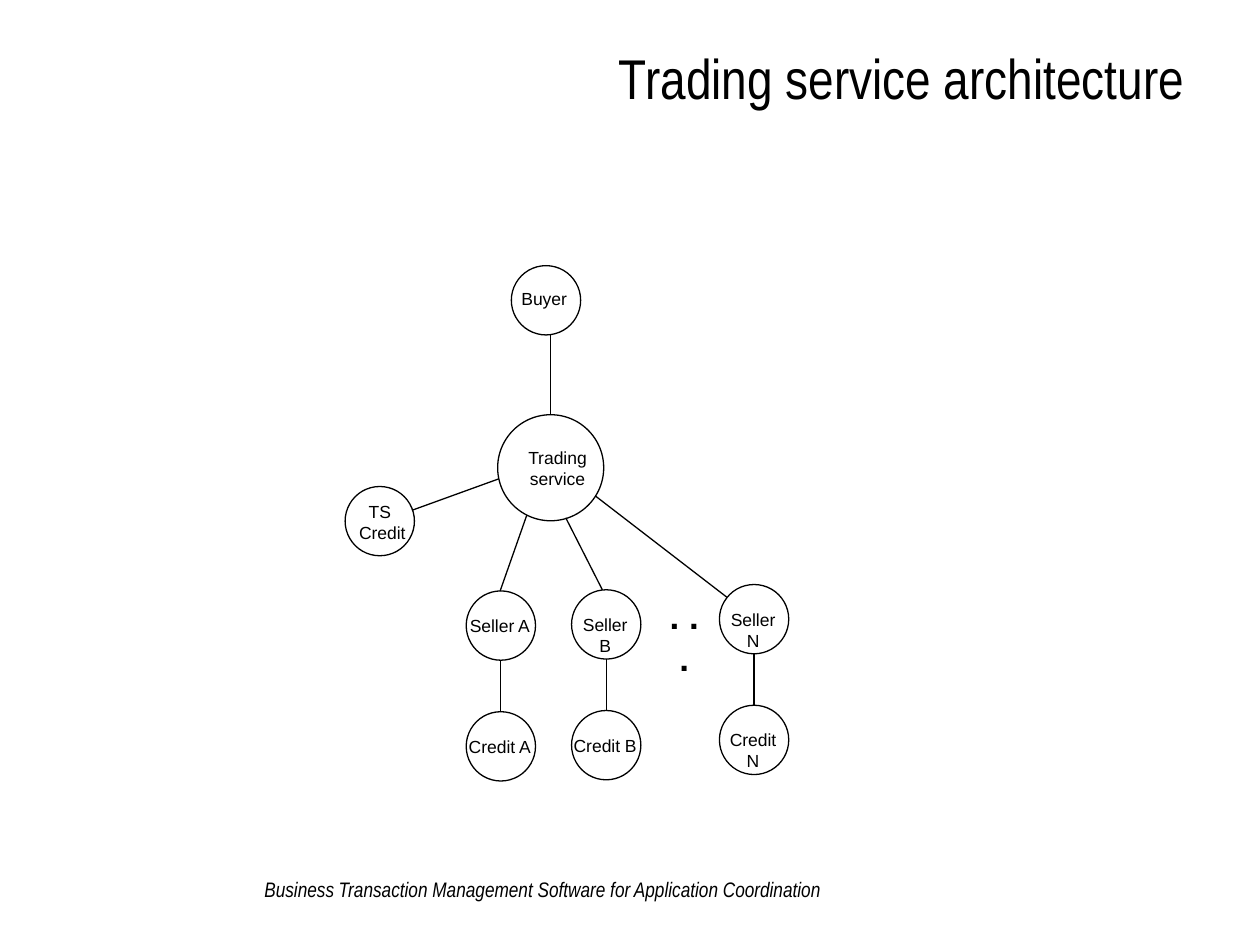
from pptx import Presentation
from pptx.dml.color import RGBColor
from pptx.enum.shapes import MSO_CONNECTOR, MSO_SHAPE
from pptx.enum.text import PP_ALIGN
from pptx.util import Pt
from lxml.etree import SubElement
from pptx.oxml.ns import qn

HUES = {"ink": "000000", "page": "FFFFFF"}
INK = RGBColor.from_string(HUES["ink"])
SIZE = 39.6

deck = Presentation()
deck.slide_width, deck.slide_height = Pt(720), Pt(540)
slide = deck.slides.add_slide(deck.slide_layouts[6])
slide.background.fill.solid()
slide.background.fill.fore_color.rgb = RGBColor.from_string(HUES["page"])


def add_text(lines, box, size=10, face="Arial", align=PP_ALIGN.CENTER,
             wrap=False, bold=False, slant=False):
    frame = slide.shapes.add_textbox(*map(Pt, box)).text_frame
    frame.word_wrap = wrap
    for i, line in enumerate(lines):
        para = frame.paragraphs[0] if i == 0 else frame.add_paragraph()
        para.alignment = align
        run = para.add_run()
        run.text = line
        font = run.font
        font.size, font.name = Pt(size), face
        font.bold, font.italic = bold, slant
        font.color.rgb = INK


add_text(["Business Transaction Management Software for Application Coordination"],
         (144, 497.5, 472.3, 21.6), 12, "Arial Narrow", PP_ALIGN.LEFT, True, slant=True)

nodes = [
    (["Buyer"], (292.2, 151.8, SIZE), (290.9, 161.3, 40.3, 19.4), PP_ALIGN.LEFT),
    (["Trading", "service"], (284.4, 237, 60.6), (294.5, 252, 48.2, 31.7), PP_ALIGN.CENTER),
    (["TS", " Credit"], (197.2, 278, SIZE), (195.1, 283, 43.9, 31.7), PP_ALIGN.CENTER),
]
links = [
    (314.6, 191.4, 314.6, 237),
    (285.1, 273.6, 235.4, 291.6),
    (301, 294.5, 285.8, 337.7),
    (323.3, 295.9, 344.2, 337),
    (340.6, 283.7, 415.4, 341.3),
]
for key, left, top in [("A", 266.4, 337.7), ("B", 326.6, 337), ("N", 411.1, 334)]:
    mid = left + SIZE / 2
    for role, y, wide in [("Seller", top, 49), ("Credit", top + 69, 50.4)]:
        label = (mid - 0.6 - wide / 2, y + 10.2, wide, 19.4)
        nodes.append(([f"{role} {key}"], (left, y, SIZE), label, PP_ALIGN.CENTER))
    links.append((mid, top + SIZE, mid, top + 69))

for lines, (left, top, size), label, align in nodes:
    ring = slide.shapes.add_shape(MSO_SHAPE.OVAL, Pt(left), Pt(top), Pt(size), Pt(size))
    ring.shadow.inherit = False
    ring.fill.background()
    ring.line.color.rgb = INK
    ring.line.width = Pt(0.75)
    add_text(lines, label, align=align)

for ends in links:
    link = slide.shapes.add_connector(MSO_CONNECTOR.STRAIGHT, *map(Pt, ends))
    link.line.color.rgb = INK
    link.line.width = Pt(0.75)
    SubElement(link.element.spPr, qn("a:effectLst"))

add_text([". . ."], (370.1, 336.2, 41.8, 31.7), 20, bold=True)
add_text(["Trading service architecture"], (324, 21.6, 360, 50.4), 32,
         "Arial Narrow", PP_ALIGN.RIGHT, True)

deck.save("out.pptx")
